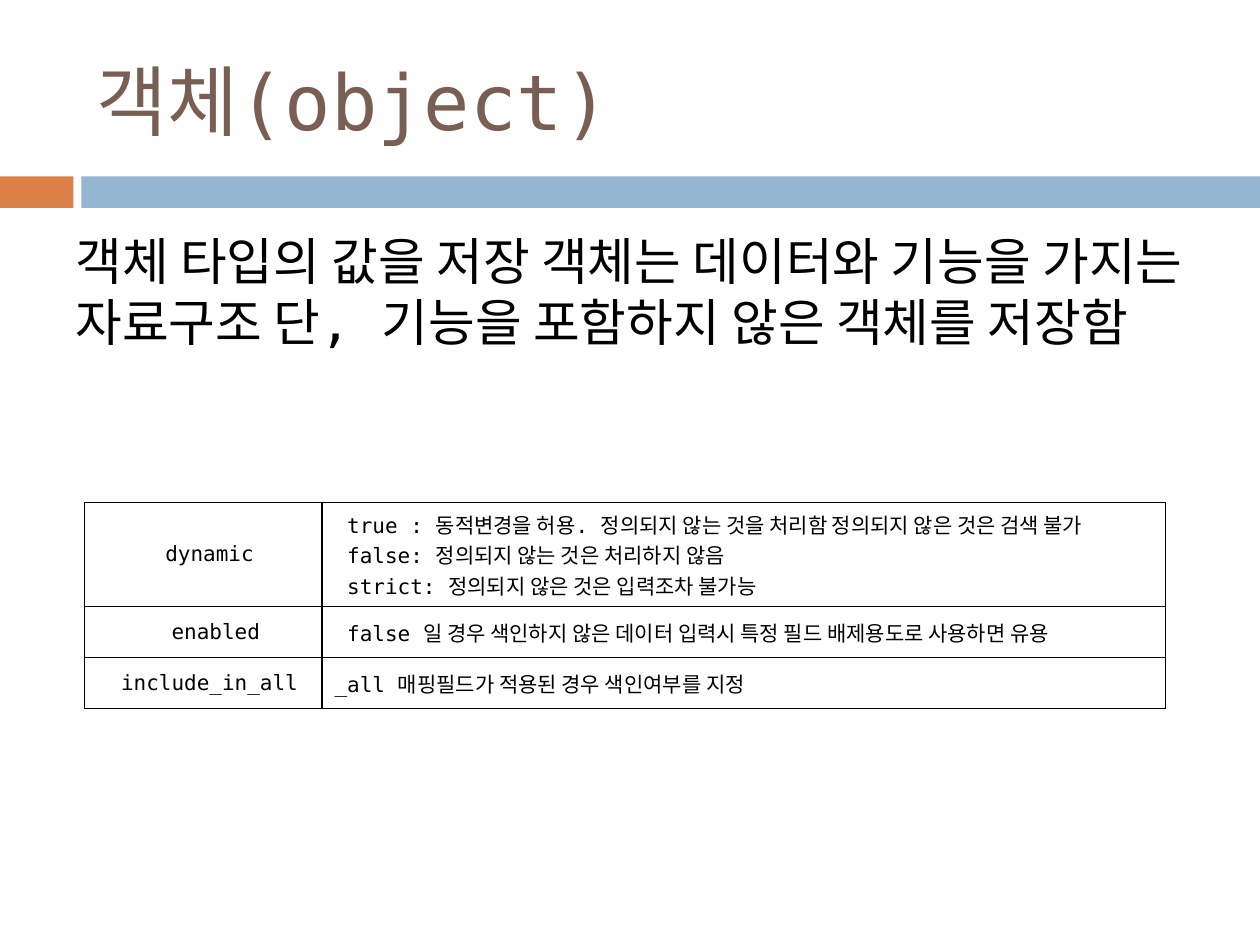
"""Build a slide on the object type with a table of its options."""
from dataclasses import dataclass

from lxml import etree
from pptx import Presentation
from pptx.dml.color import RGBColor
from pptx.enum.shapes import MSO_SHAPE
from pptx.enum.text import MSO_ANCHOR, PP_ALIGN
from pptx.oxml.ns import qn
from pptx.util import Pt

RECT = MSO_SHAPE.RECTANGLE
MIDDLE, TOP = MSO_ANCHOR.MIDDLE, MSO_ANCHOR.TOP
LEFT, CENTER = PP_ALIGN.LEFT, PP_ALIGN.CENTER


@dataclass(frozen=True)
class Theme:
    face: str = "DejaVu Sans Mono"
    brown: str = "775F55"
    orange: str = "DD8047"
    blue: str = "94B6D2"
    black: str = "000000"
    title: int = 44
    body: int = 29
    cell: int = 12


theme = Theme()


def write(frame, lines, size, color, align=LEFT):
    frame.text = "\n".join(lines)
    for para in frame.paragraphs:
        para.alignment = align
        para.font.name = theme.face
        para.font.size = Pt(size)
        para.font.color.rgb = RGBColor.from_string(color)


def edge(cell, color):
    props = cell._tc.get_or_add_tcPr()
    for side in ("a:lnL", "a:lnR", "a:lnT", "a:lnB"):
        line = etree.SubElement(props, qn(side), w=str(Pt(1)))
        fill = etree.SubElement(line, qn("a:solidFill"))
        etree.SubElement(fill, qn("a:srgbClr"), val=color)


deck = Presentation()
deck.slide_width, deck.slide_height = Pt(720), Pt(540)
slide = deck.slides.add_slide(deck.slide_layouts[6])
shapes = slide.shapes

for left, width, color in ((0, 42, theme.orange), (46.5, 673.5, theme.blue)):
    bar = shapes.add_shape(RECT, Pt(left), Pt(100.8), Pt(width), Pt(18))
    bar.shadow.inherit = False
    bar.fill.solid()
    bar.fill.fore_color.rgb = RGBColor.from_string(color)
    bar.line.fill.background()

texts = (
    ((48.25, 18, 642, 78), "객체(object)", theme.title, theme.brown, MIDDLE),
    ((36, 128, 648, 158.5),
     "객체 타입의 값을 저장 객체는 데이터와 기능을 가지는 자료구조 단, 기능을 포함하지 않은 객체를 저장함",
     theme.body, theme.black, TOP),
)
for place, text, size, color, anchor in texts:
    box = shapes.add_textbox(*map(Pt, place))
    frame = box.text_frame
    frame.word_wrap = True
    frame.vertical_anchor = anchor
    write(frame, [text], size, color)

rows = (
    (59.4, (1, ["dynamic"]), (1, [
        "true : 동적변경을 허용. 정의되지 않는 것을 처리함 정의되지 않은 것은 검색 불가",
        "false: 정의되지 않는 것은 처리하지 않음",
        "strict: 정의되지 않은 것은 입력조차 불가능"])),
    (29.2, (2, ["enabled"]), (1, [
        "false 일 경우 색인하지 않은 데이터 입력시 특정 필드 배제용도로 사용하면 유용"])),
    (29.2, (1, ["include_in_all"]), (0, [
        "_all 매핑필드가 적용된 경우 색인여부를 지정"])),
)
widths = (135.8, 482)
high = sum(row[0] for row in rows)
table = shapes.add_table(len(rows), len(widths), Pt(48.25), Pt(287.2),
                         Pt(sum(widths)), Pt(high)).table
table.first_row = table.horz_banding = False
for col, width in zip(table.columns, widths):
    col.width = Pt(width)
for r, (height, *cells) in enumerate(rows):
    table.rows[r].height = Pt(height)
    for c, (step, lines) in enumerate(cells):
        cell = table.cell(r, c)
        edge(cell, theme.black)
        cell.fill.background()
        cell.vertical_anchor = MIDDLE
        cell.margin_left = Pt(7.2 * (1 + step))
        write(cell.text_frame, lines, theme.cell, theme.black,
              LEFT if c else CENTER)

deck.save("out.pptx")
